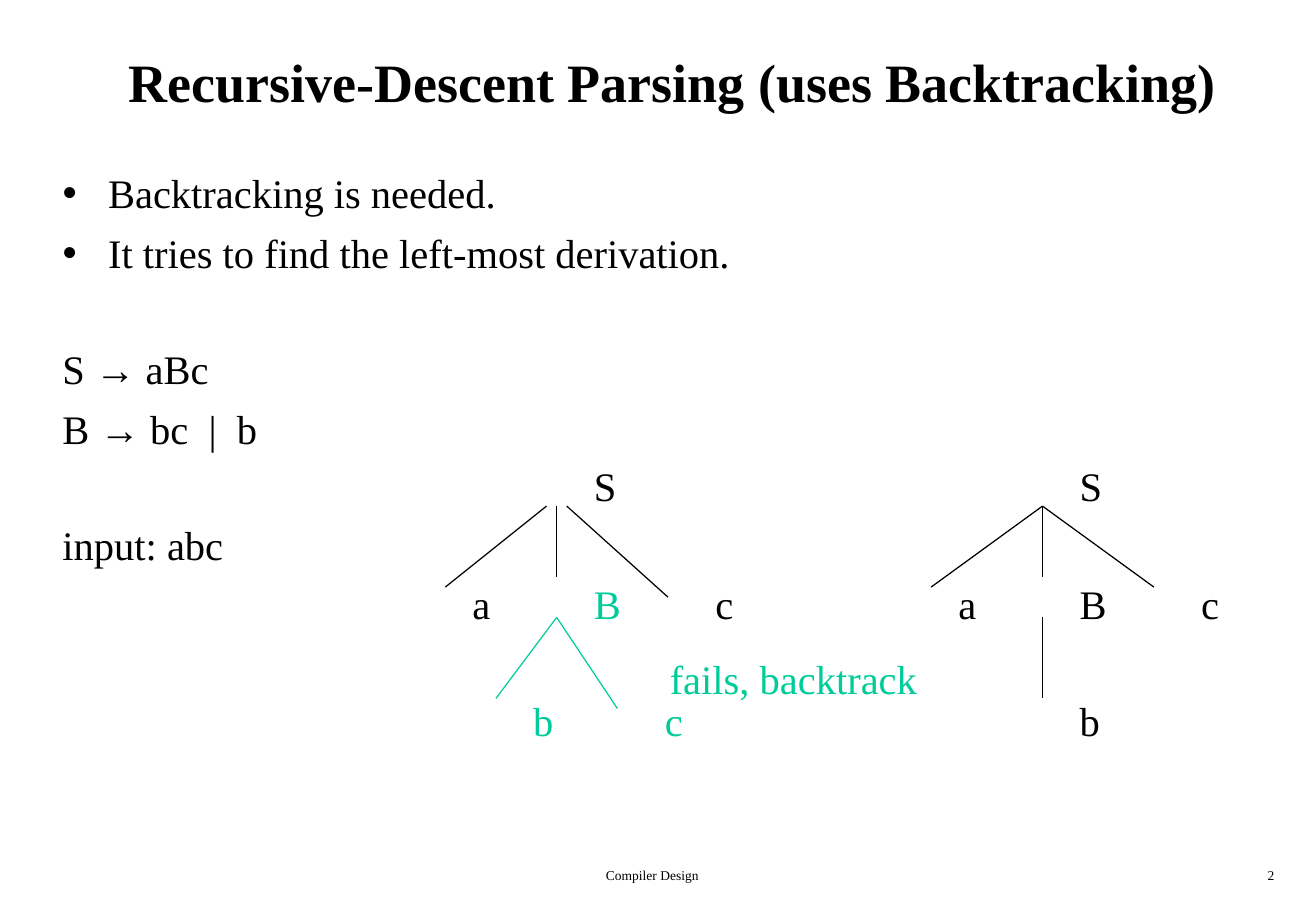
import pptx
import pptx.util
import pptx.dml.color
import pptx.enum.text
import pptx.enum.shapes
import lxml.etree

PX = 7620
ROW = 58
TOP = 160
LEFT = 50
ALIGN = pptx.enum.text.PP_ALIGN
THEME = {
    "font": "Times New Roman",
    "arrow": "Arial",
    "ink": pptx.dml.color.RGBColor.from_string("000000"),
    "fail": pptx.dml.color.RGBColor.from_string("00CC99"),
    "title": 32,
    "body": 24,
    "foot": 8,
    "gap": 7,
    "line": 0.75,
}


def style(frame, size="body", tone="ink", align=ALIGN.LEFT):
    for index, para in enumerate(frame.paragraphs):
        para.alignment = align
        para.space_before = pptx.util.Pt(THEME["gap"] if index else 0)
        for run in para.runs:
            run.font.name = THEME["arrow" if run.text == "→" else "font"]
            run.font.size = pptx.util.Pt(THEME[size])
            run.font.color.rgb = THEME[tone]


def write(text, x, y, w, h, size="body", tone="ink", align=ALIGN.LEFT):
    box = slide.shapes.add_textbox(x * PX, y * PX, w * PX, h * PX)
    frame = box.text_frame
    frame.word_wrap = True
    frame.text = text
    style(frame, size, tone, align)
    return frame


deck = pptx.Presentation()
deck.slide_width = pptx.util.Emu(9907588)
deck.slide_height = 900 * PX
slide = deck.slides.add_slide(deck.slide_layouts[5])

title = slide.shapes.title
title.left, title.top, title.width, title.height = LEFT * PX, 20 * PX, 1230 * PX, 120 * PX
frame = title.text_frame
frame.text = "Recursive-Descent Parsing (uses Backtracking)"
frame.auto_size = pptx.enum.text.MSO_AUTO_SIZE.NONE
frame.vertical_anchor = pptx.enum.text.MSO_ANCHOR.MIDDLE
style(frame, "title", "ink", ALIGN.CENTER)
frame.paragraphs[0].runs[0].font.bold = True

points = write(
    "Backtracking is needed.\nIt tries to find the left-most derivation.",
    LEFT, TOP, 1230, 2 * ROW)
for para in points.paragraphs:
    props = para._p.get_or_add_pPr()
    props.set("marL", str(45 * PX))
    props.set("indent", str(-45 * PX))
    font = lxml.etree.SubElement(props, pptx.oxml.ns.qn("a:buFont"))
    font.set("typeface", THEME["arrow"])
    mark = lxml.etree.SubElement(props, pptx.oxml.ns.qn("a:buChar"))
    mark.set("char", "•")

rules = write("S → aBc\nB → bc  |  b", LEFT, TOP + 3 * ROW, 360, 2 * ROW)
for para in rules.paragraphs:
    head, arrow, tail = para.text.partition("→")
    para.text = head
    for part in (arrow, tail):
        para.add_run().text = part
style(rules)

write("input: abc", LEFT, TOP + 6 * ROW, 360, ROW)

edges = [
    (540, 500, 440, 580, "ink"),
    (560, 500, 660, 590, "ink"),
    (550, 500, 550, 570, "ink"),
    (550, 610, 490, 690, "fail"),
    (550, 610, 610, 700, "fail"),
    (1030, 500, 920, 580, "ink"),
    (1030, 500, 1140, 580, "ink"),
    (1030, 500, 1030, 570, "ink"),
    (1030, 610, 1030, 690, "ink"),
]
for x1, y1, x2, y2, tone in edges:
    edge = slide.shapes.add_connector(
        pptx.enum.shapes.MSO_CONNECTOR.STRAIGHT, x1 * PX, y1 * PX, x2 * PX, y2 * PX)
    edge.line.color.rgb = THEME[tone]
    edge.line.width = pptx.util.Pt(THEME["line"])
    lxml.etree.SubElement(edge._element.spPr, pptx.oxml.ns.qn("a:effectLst"))

nodes = [
    ("S", 575, 5, "ink"),
    ("a", 455, 7, "ink"),
    ("B", 575, 7, "fail"),
    ("c", 695, 7, "ink"),
    ("b", 515, 9, "fail"),
    ("c", 645, 9, "fail"),
    ("S", 1055, 5, "ink"),
    ("a", 935, 7, "ink"),
    ("B", 1055, 7, "ink"),
    ("c", 1175, 7, "ink"),
    ("b", 1055, 9, "ink"),
]
for name, x, row, tone in nodes:
    write(name, x, TOP + row * ROW, 60, ROW, tone=tone)

write("fails, backtrack", 650, 640, 290, 60, tone="fail")
write("Compiler Design", 401, 851, 487, 30, "foot", align=ALIGN.CENTER)
write("2", 1000, 851, 271, 30, "foot", align=ALIGN.RIGHT)

deck.save("out.pptx")
